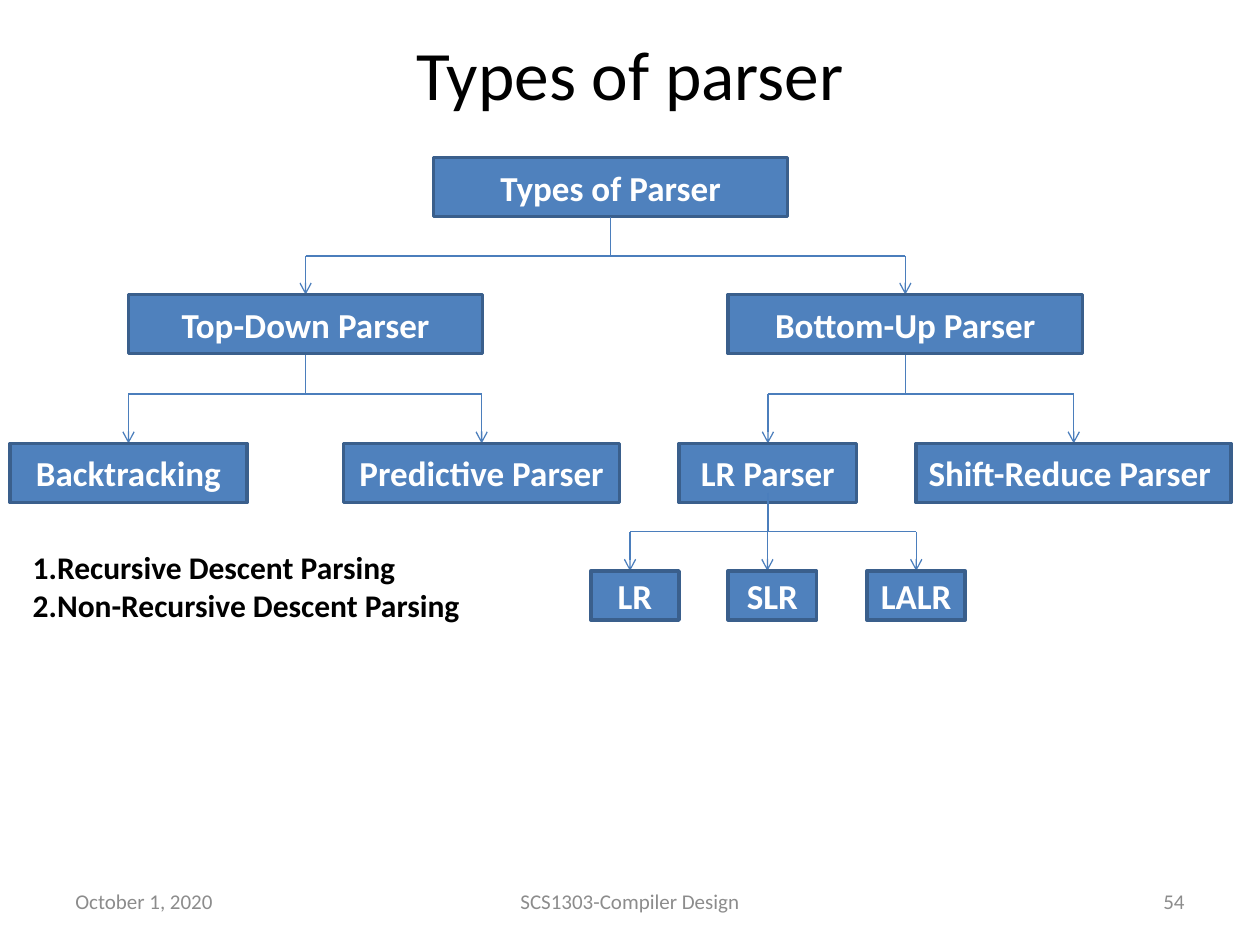
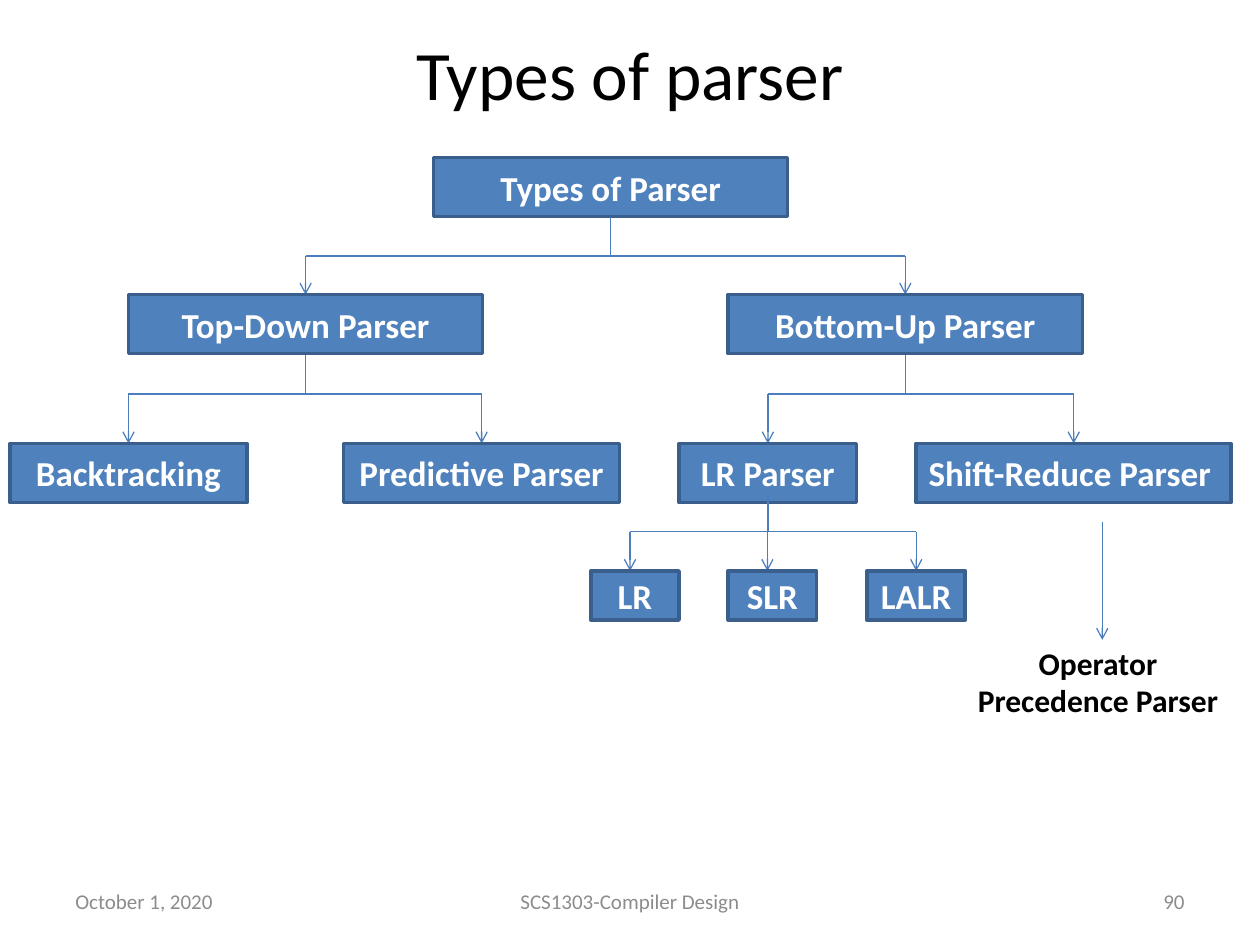
from dataclasses import dataclass

from lxml.etree import SubElement
from pptx import Presentation
from pptx.dml.color import RGBColor
from pptx.enum.shapes import MSO_CONNECTOR, MSO_SHAPE
from pptx.enum.text import MSO_ANCHOR, MSO_AUTO_SIZE, PP_ALIGN
from pptx.oxml.ns import qn
from pptx.util import Cm, Pt

FONT = "Calibri"
BLACK, WHITE, GREY = "000000", "FFFFFF", "8C8C8C"
NODE_FILL, NODE_EDGE, LINK = "4F81BD", "3A5F8C", "4B7EBC"
LEFT, CENTER, RIGHT = PP_ALIGN.LEFT, PP_ALIGN.CENTER, PP_ALIGN.RIGHT

# Shared regions in cm: left, top, width, height
TITLE_BOX = (1.27, 0.76, 22.86, 1.42)
TREE_BOX = (0.2, 3.18, 24.62, 9.32)
FOOTER_BOX = (1.27, 17.65, 22.86, 1.02)

# Tree levels: top, node height, and height of the bar that feeds the level
LEVELS = [(0, 1.19, None), (2.76, 1.19, 1.98), (5.76, 1.19, 4.76), (8.33, 0.99, 7.54)]
STEM = 0.79


@dataclass
class Node:
    label: str
    left: float
    width: float
    children: tuple = ()
    align: PP_ALIGN = CENTER
    arrow_shift: float = 0

    @property
    def center(self):
        return self.left + self.width / 2

    @property
    def arrow_x(self):
        return self.center + self.arrow_shift


PARSERS = Node("Types of Parser", 8.54, 7.14, (
    Node("Top-Down Parser", 2.39, 7.14, (
        Node("Backtracking", 0, 4.78),
        Node("Predictive Parser", 6.73, 5.56),
    )),
    Node("Bottom-Up Parser", 14.48, 7.14, (
        Node("LR Parser", 13.49, 3.58, (
            Node("LR", 11.71, 1.78, arrow_shift=-0.1),
            Node("SLR", 14.48, 1.78, arrow_shift=-0.1),
            Node("LALR", 17.28, 1.98),
        )),
        Node("Shift-Reduce Parser", 18.27, 6.35, align=LEFT),
    )),
))


def color(hex_value):
    return RGBColor.from_string(hex_value)


def write(frame, lines, size, hex_value, bold=False, align=LEFT, anchor=MSO_ANCHOR.MIDDLE):
    frame.word_wrap = True
    frame.auto_size = MSO_AUTO_SIZE.NONE
    frame.vertical_anchor = anchor
    frame.text = "\n".join(lines)
    for paragraph in frame.paragraphs:
        paragraph.alignment = align
        font = paragraph.font
        font.name, font.size, font.bold = FONT, Pt(size), bold
        font.color.rgb = color(hex_value)


def add_link(slide, start, end, arrow=False):
    link = slide.shapes.add_connector(
        MSO_CONNECTOR.STRAIGHT, *[Cm(value) for value in (*start, *end)])
    link.line.color.rgb = color(LINK)
    link.line.width = Pt(0.75)
    if arrow:
        SubElement(link.line._get_or_add_ln(), qn("a:tailEnd"), type="arrow")
    SubElement(link._element.spPr, qn("a:effectLst"))


def add_caption(slide, box, lines, size=18, hex_value=BLACK, bold=True, align=LEFT,
                anchor=MSO_ANCHOR.TOP):
    caption = slide.shapes.add_textbox(*[Cm(value) for value in box])
    write(caption.text_frame, lines, size, hex_value, bold, align, anchor)


def place_title(slide, box, heading):
    title = slide.shapes.title
    title.left, title.top, title.width, title.height = [Cm(value) for value in box]
    write(title.text_frame, [heading], 39.6, BLACK, align=CENTER)


def add_footer(slide, box, number):
    left, top, width, height = box
    parts = [("October 1, 2020", 0, 5.92, LEFT),
             (number, width - 5.92, 5.92, RIGHT),
             ("SCS1303-Compiler Design", (width - 8.05) / 2, 8.05, CENTER)]
    for text, offset, part_width, align in parts:
        add_caption(slide, (left + offset, top, part_width, height), [text],
                    12, GREY, False, align, MSO_ANCHOR.MIDDLE)


def add_tree(slide, box, node, level=0):
    """Draw a node, the links to its children, and the children themselves."""
    left, top = box[:2]
    node_top, height, _ = LEVELS[level]
    rect = slide.shapes.add_shape(MSO_SHAPE.RECTANGLE, Cm(left + node.left),
                                  Cm(top + node_top), Cm(node.width), Cm(height))
    rect.shadow.inherit = False
    rect.fill.solid()
    rect.fill.fore_color.rgb = color(NODE_FILL)
    rect.line.color.rgb = color(NODE_EDGE)
    rect.line.width = Pt(2)
    write(rect.text_frame, [node.label], 20, WHITE, True, node.align)
    if not node.children:
        return

    # Stem, bar and one arrow per child
    child_top, _, bar = LEVELS[level + 1]
    bar_y = top + bar
    stem_x = left + node.center
    arrows = [left + child.arrow_x for child in node.children]
    add_link(slide, (stem_x, bar_y - STEM), (stem_x, bar_y))
    add_link(slide, (arrows[0], bar_y), (arrows[-1], bar_y))
    for x, child in zip(arrows, node.children):
        add_link(slide, (x, bar_y), (x, top + child_top), arrow=True)
        add_tree(slide, box, child, level + 1)


def add_descent_kinds(slide, box):
    add_caption(slide, box, ["1.Recursive Descent Parsing", "2.Non-Recursive Descent Parsing"])


def add_operator_precedence(slide, box):
    left, top, width, height = box
    arrow_x = left + 2.97
    add_link(slide, (arrow_x, top), (arrow_x, top + 2.38), arrow=True)
    add_caption(slide, (left, top + 2.33, width, height - 2.33),
                ["Operator Precedence Parser"], align=CENTER)


def add_parser_slide(deck, number):
    slide = deck.slides.add_slide(deck.slide_layouts[5])
    place_title(slide, TITLE_BOX, "Types of parser")
    add_tree(slide, TREE_BOX, PARSERS)
    add_footer(slide, FOOTER_BOX, number)
    return slide


def main():
    deck = Presentation()
    deck.slide_width, deck.slide_height = Cm(25.4), Cm(19.05)
    add_descent_kinds(add_parser_slide(deck, "54"), (0.41, 10.92, 9.73, 1.8))
    add_operator_precedence(add_parser_slide(deck, "90"), (19.25, 10.52, 5.77, 4.13))
    deck.save("out.pptx")


if __name__ == "__main__":
    main()
